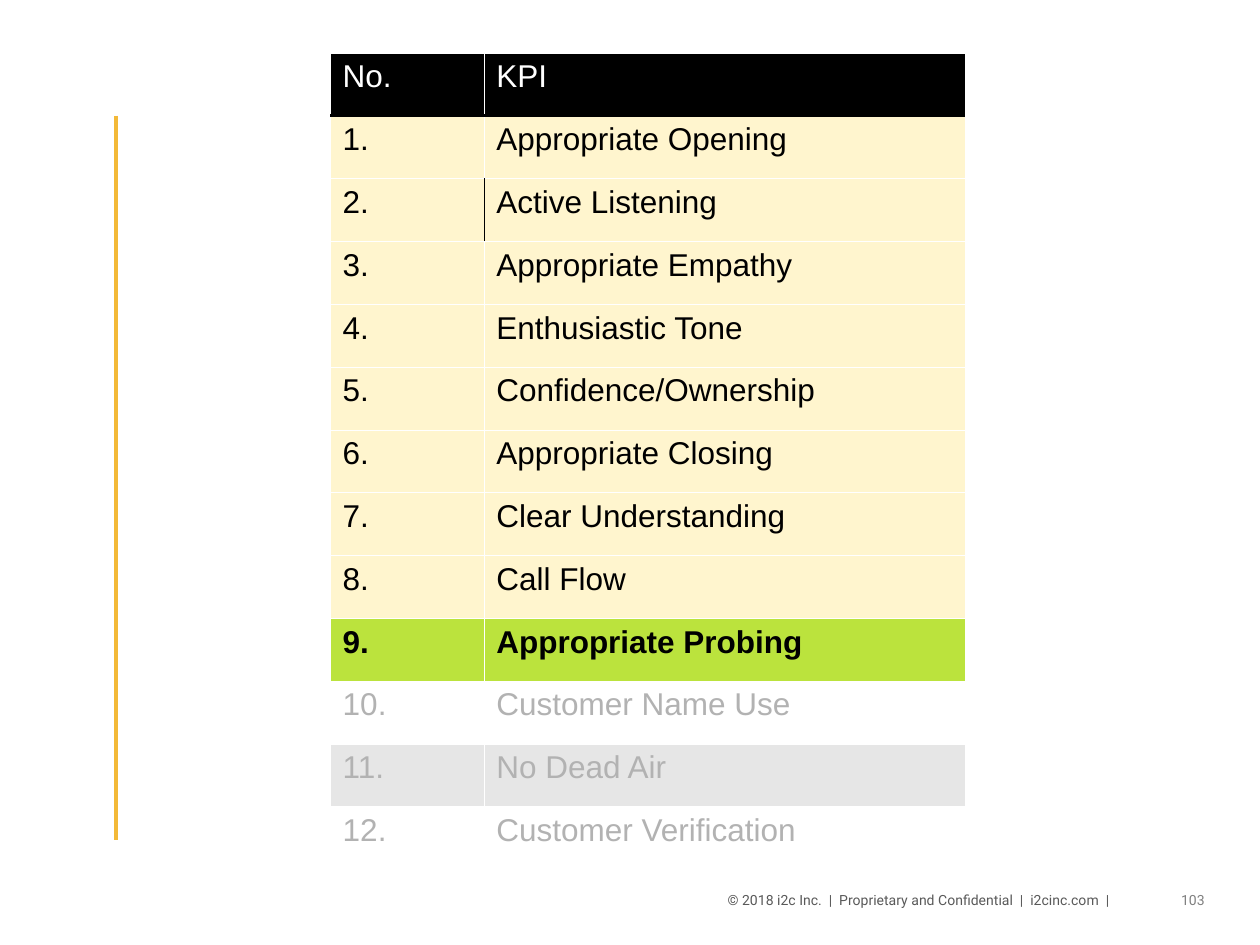
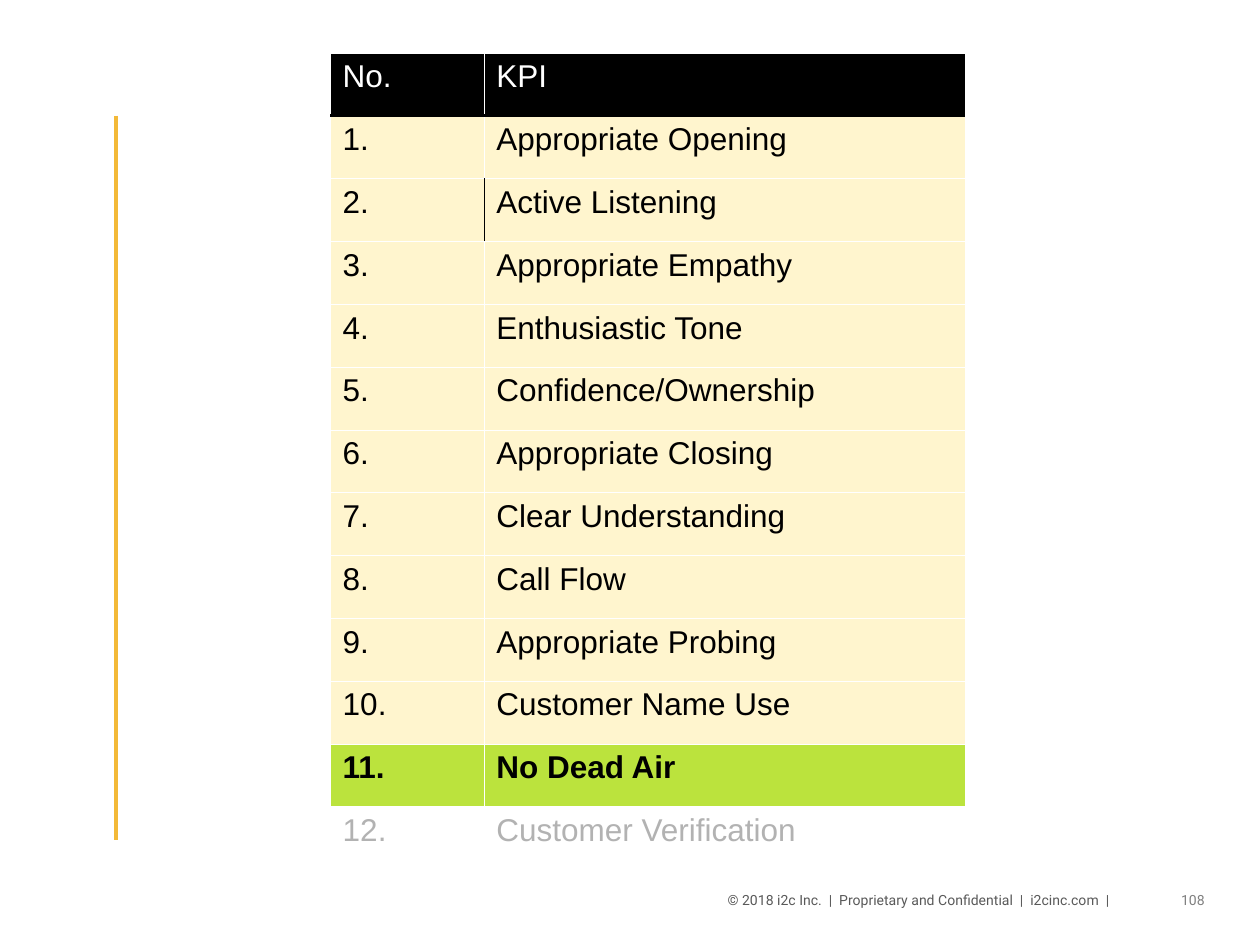
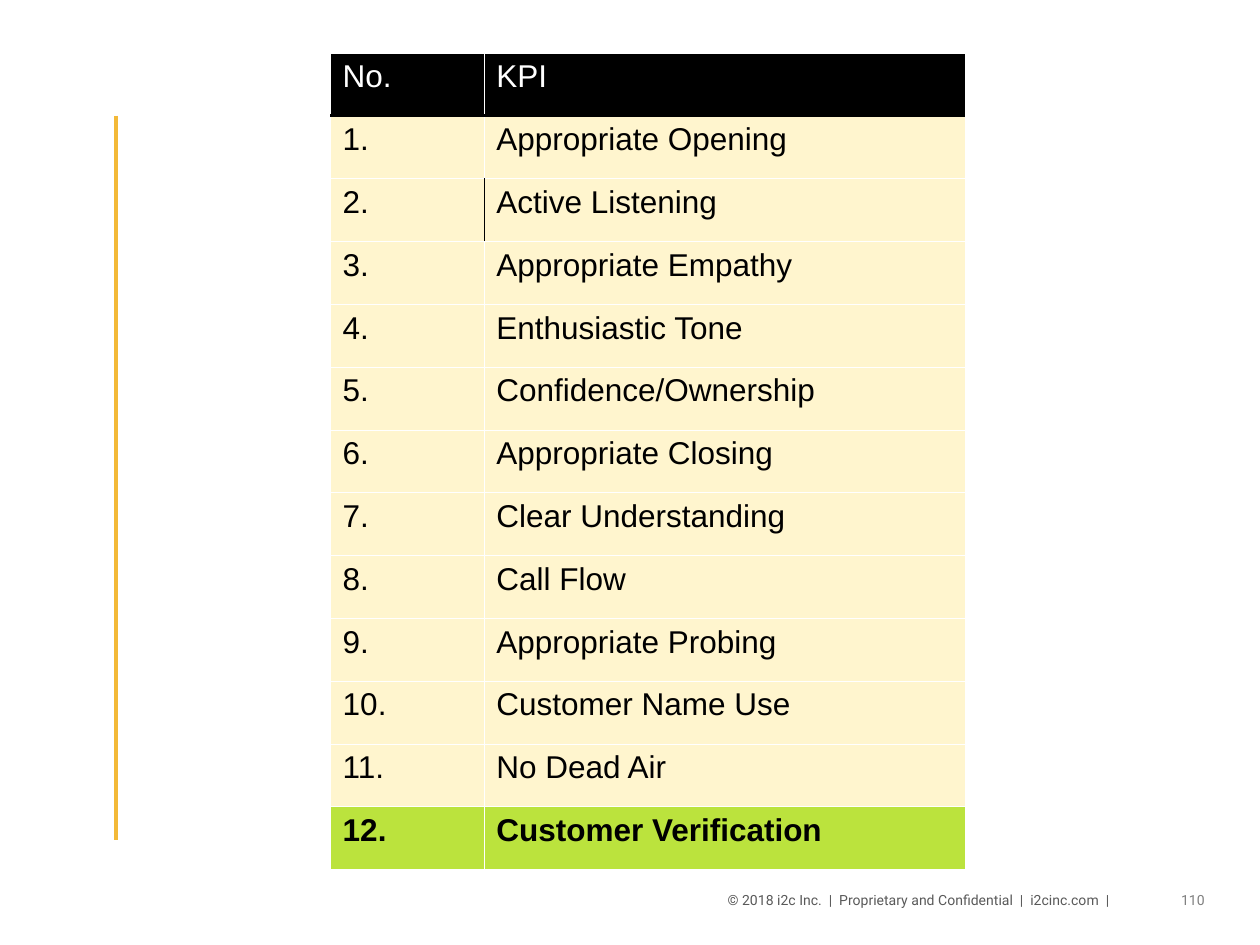
from dataclasses import dataclass
from typing import NamedTuple

from lxml.etree import SubElement
from pptx import Presentation
from pptx.dml.color import RGBColor
from pptx.enum.shapes import MSO_CONNECTOR
from pptx.enum.text import PP_ALIGN
from pptx.oxml.ns import qn
from pptx.util import Inches, Pt


@dataclass(frozen=True)
class Theme:
    white: str = "FFFFFF"
    black: str = "000000"
    gold: str = "F3B938"
    cream: str = "FFF5CE"
    lime: str = "BBE33D"
    band: str = "E6E6E6"
    faint: str = "B2B2B2"
    legal: str = "595959"
    page: str = "808080"
    body: str = "Arial"
    small: str = "Roboto"
    body_size: float = 18
    foot_size: float = 8
    hair: float = 0.06
    rule: float = 2
    bar: float = 2.25


class Look(NamedTuple):
    fill: str
    color: str
    bold: bool = False


class Foot(NamedTuple):
    text: str
    left: float
    width: float
    color: str


class Stage(NamedTuple):
    page: int
    active: int


THEME = Theme()
KPIS = [
    "Appropriate Opening",
    "Active Listening",
    "Appropriate Empathy",
    "Enthusiastic Tone",
    "Confidence/Ownership",
    "Appropriate Closing",
    "Clear Understanding",
    "Call Flow",
    "Appropriate Probing",
    "Customer Name Use",
    "No Dead Air",
    "Customer Verification",
]
ROWS = [("No.", "KPI")] + [(f"{n}.", kpi) for n, kpi in enumerate(KPIS, 1)]
STAGES = [Stage(103, 9), Stage(108, 11), Stage(110, 12)]
LEGAL = "© 2018 i2c Inc.  |  Proprietary and Confidential  |  i2cinc.com  |"


def write(frame, text: str, *, color: str, size: float = THEME.body_size,
          font: str = THEME.body, bold: bool = False, align=PP_ALIGN.LEFT) -> None:
    frame.word_wrap = True
    para = frame.paragraphs[0]
    para.alignment = align
    run = para.add_run()
    run.text = text
    run.font.name = font
    run.font.size = Pt(size)
    run.font.bold = bold
    run.font.color.rgb = RGBColor.from_string(color)


def add_foot(slide, foot: Foot) -> None:
    box = slide.shapes.add_textbox(
        Inches(foot.left), Inches(7.03), Inches(foot.width), Inches(0.31))
    write(box.text_frame, foot.text, color=foot.color, size=THEME.foot_size,
          font=THEME.small, align=PP_ALIGN.RIGHT)


def add_frame(slide, page: int) -> None:
    add_foot(slide, Foot(str(page), 7.33, 2.33, THEME.page))
    add_foot(slide, Foot(LEGAL, 5.33, 3.58, THEME.legal))
    bar = slide.shapes.add_connector(
        MSO_CONNECTOR.STRAIGHT, Inches(0.92), Inches(0.92), Inches(0.92), Inches(6.67))
    bar.line.color.rgb = RGBColor.from_string(THEME.gold)
    bar.line.width = Pt(THEME.bar)
    SubElement(bar._element.spPr, qn("a:effectLst"))


def set_edge(cell, side: str, color: str, width: float) -> None:
    props = cell._tc.get_or_add_tcPr()
    edge = SubElement(props, qn(f"a:ln{side}"), w=str(Pt(width)))
    SubElement(SubElement(edge, qn("a:solidFill")), qn("a:srgbClr"), val=color)


def edge_style(row: int, col: int, side: str) -> tuple[str, float]:
    if (row, side) in ((0, "B"), (1, "T")):
        return THEME.black, THEME.rule
    if (row, col, side) in ((2, 0, "R"), (2, 1, "L")):
        return THEME.black, THEME.hair
    return THEME.white, THEME.hair


def row_look(row: int, active: int) -> Look:
    if row == 0:
        return Look(THEME.black, THEME.white)
    if row < active:
        return Look(THEME.cream, THEME.black)
    if row == active:
        return Look(THEME.lime, THEME.black, True)
    return Look(THEME.band if row % 2 else THEME.white, THEME.faint)


def add_kpis(slide, active: int) -> None:
    table = slide.shapes.add_table(
        len(ROWS), 2, Inches(2.62), Inches(0.42), Inches(5.04), Inches(6.48)).table
    table.horz_banding = False
    for col, width in zip(table.columns, (1.22, 3.82)):
        col.width = Inches(width)
    for row, texts in enumerate(ROWS):
        look = row_look(row, active)
        for col, text in enumerate(texts):
            cell = table.cell(row, col)
            for side in "LRTB":
                set_edge(cell, side, *edge_style(row, col, side))
            cell.fill.solid()
            cell.fill.fore_color.rgb = RGBColor.from_string(look.fill)
            write(cell.text_frame, text, color=look.color, bold=look.bold)


def main() -> None:
    deck = Presentation()
    deck.slide_width, deck.slide_height = Inches(10), Inches(7.5)
    for stage in STAGES:
        slide = deck.slides.add_slide(deck.slide_layouts[6])
        add_frame(slide, stage.page)
        add_kpis(slide, stage.active)
    deck.save("out.pptx")


if __name__ == "__main__":
    main()
